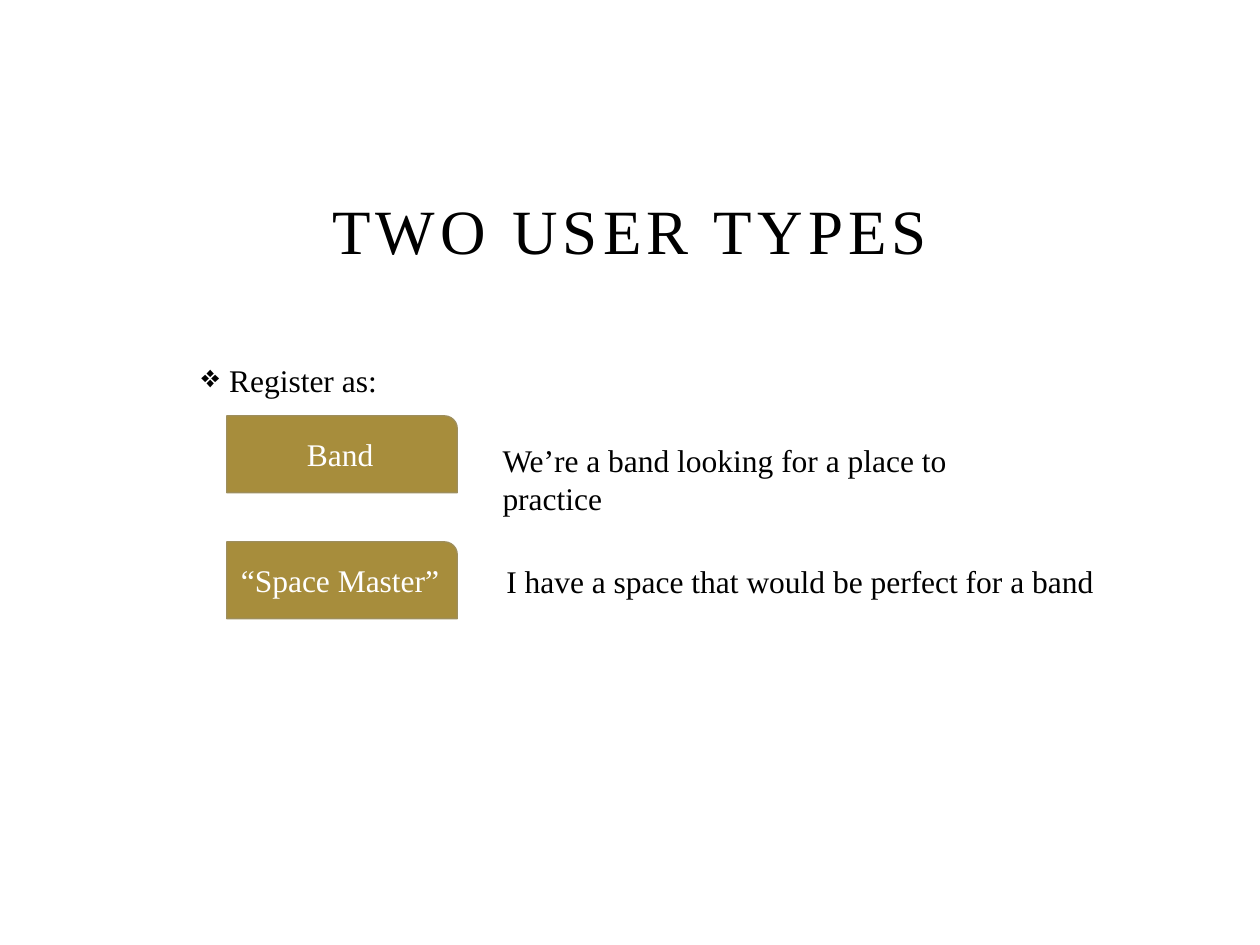
from dataclasses import dataclass

from lxml import etree
from pptx import Presentation
from pptx.dml.color import RGBColor
from pptx.enum.shapes import MSO_SHAPE
from pptx.enum.text import MSO_ANCHOR, PP_ALIGN
from pptx.oxml.ns import qn
from pptx.util import Inches, Pt

CARD_SHAPE = MSO_SHAPE.ROUND_1_RECTANGLE
LEFT, CENTER = PP_ALIGN.LEFT, PP_ALIGN.CENTER
TOP, MIDDLE, BOTTOM = MSO_ANCHOR.TOP, MSO_ANCHOR.MIDDLE, MSO_ANCHOR.BOTTOM


@dataclass(frozen=True)
class Theme:
    """Colours and type of the slide."""
    font: str = "Times New Roman"
    title_size: int = 36
    body_size: int = 18
    text: str = "000000"
    card_text: str = "FFFFFF"
    card_fill: str = "A78D3C"
    card_line: str = "9E8E5C"


THEME = Theme()


def write_text(shape, text, size=THEME.body_size, color=THEME.text, align=LEFT, anchor=TOP):
    """Write one styled run in a shape and return its paragraph."""
    frame = shape.text_frame
    frame.word_wrap = True
    frame.vertical_anchor = anchor
    paragraph = frame.paragraphs[0]
    paragraph.alignment = align
    run = paragraph.add_run()
    run.text = text
    run.font.name = THEME.font
    run.font.size = Pt(size)
    run.font.color.rgb = RGBColor.from_string(color)
    return paragraph


def add_text(slide, text, left, top, width, height, **style):
    """Add a text box and return its paragraph."""
    box = slide.shapes.add_textbox(Inches(left), Inches(top), Inches(width), Inches(height))
    return write_text(box, text, **style)


def add_title(slide, text):
    """Add the letter-spaced title."""
    paragraph = add_text(slide, text, 1.5, 1.42, 7, 0.75,
                         size=THEME.title_size, align=CENTER, anchor=BOTTOM)
    paragraph.runs[0].font._element.set("spc", "300")


def add_bullet(slide, text):
    """Add the lead-in line with a diamond bullet."""
    paragraph = add_text(slide, text, 1.5, 2.67, 8.15, 3.33)
    paragraph.line_spacing = 1.5
    paragraph.space_before = Pt(3.6)
    properties = paragraph._p.get_or_add_pPr()
    indent = Inches(0.22)
    properties.set("marL", str(indent))
    properties.set("indent", str(-indent))
    etree.SubElement(properties, qn("a:buChar")).set("char", "❖")


def add_card(slide, text, top):
    """Add a gold user type card."""
    card = slide.shapes.add_shape(CARD_SHAPE, Inches(1.8), Inches(top), Inches(1.83), Inches(0.61))
    card.shadow.inherit = False
    card.fill.solid()
    card.fill.fore_color.rgb = RGBColor.from_string(THEME.card_fill)
    card.line.color.rgb = RGBColor.from_string(THEME.card_line)
    card.line.width = Pt(0.75)
    write_text(card, text, color=THEME.card_text, align=CENTER, anchor=MIDDLE)


def main():
    """Build and save the slide."""
    presentation = Presentation()
    presentation.slide_width, presentation.slide_height = Inches(10), Inches(7.5)
    slide = presentation.slides.add_slide(presentation.slide_layouts[6])
    add_title(slide, "TWO USER TYPES")
    add_bullet(slide, "Register as:")
    for row, name in enumerate(("Band", "“Space Master”")):
        add_card(slide, name, 3.3 + row)
    add_text(slide, "We’re a band looking for a place to practice", 3.89, 3.45, 4.44, 0.4)
    add_text(slide, "I have a space that would be perfect for a band", 3.92, 4.41, 5.59, 0.4)
    presentation.save("out.pptx")


if __name__ == "__main__":
    main()
